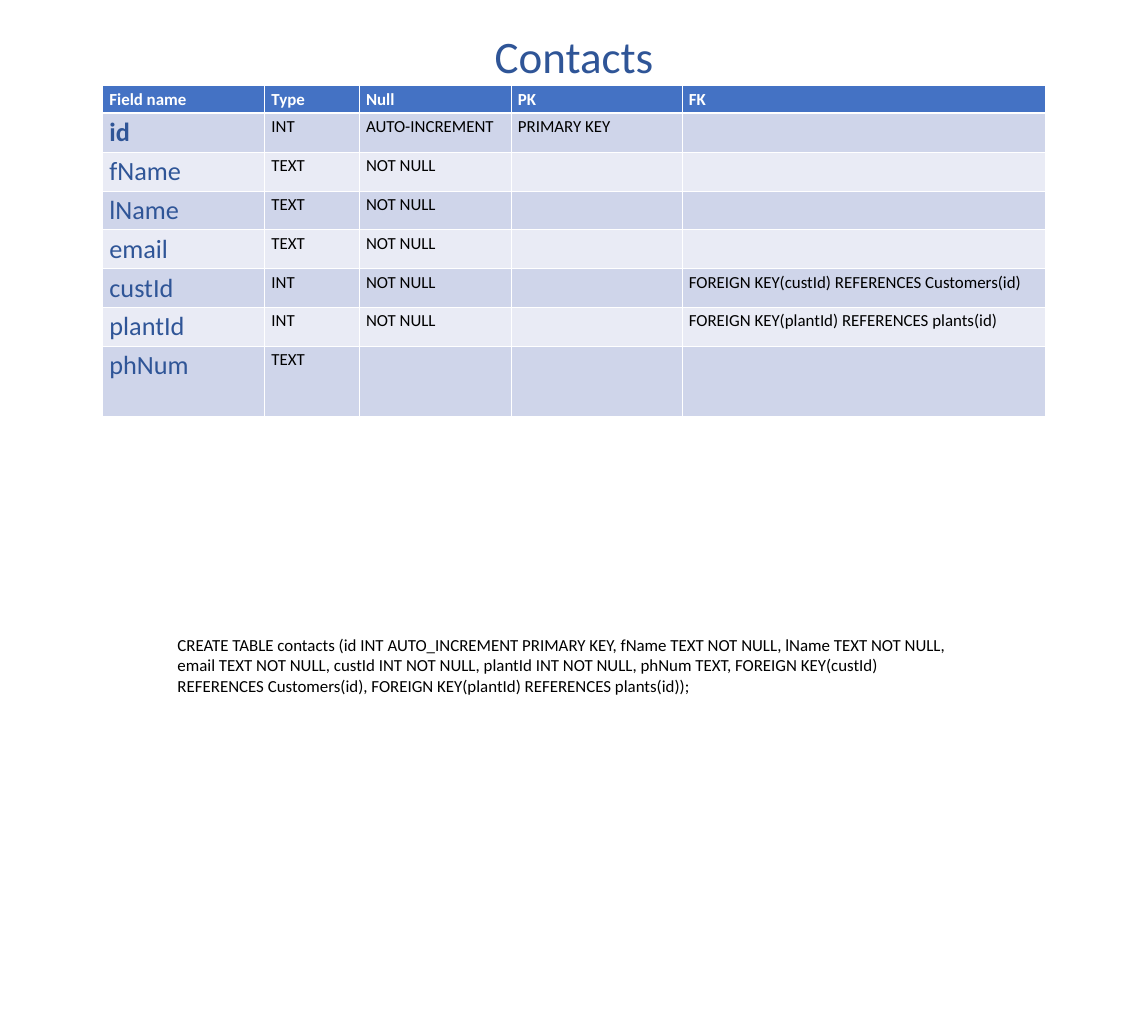
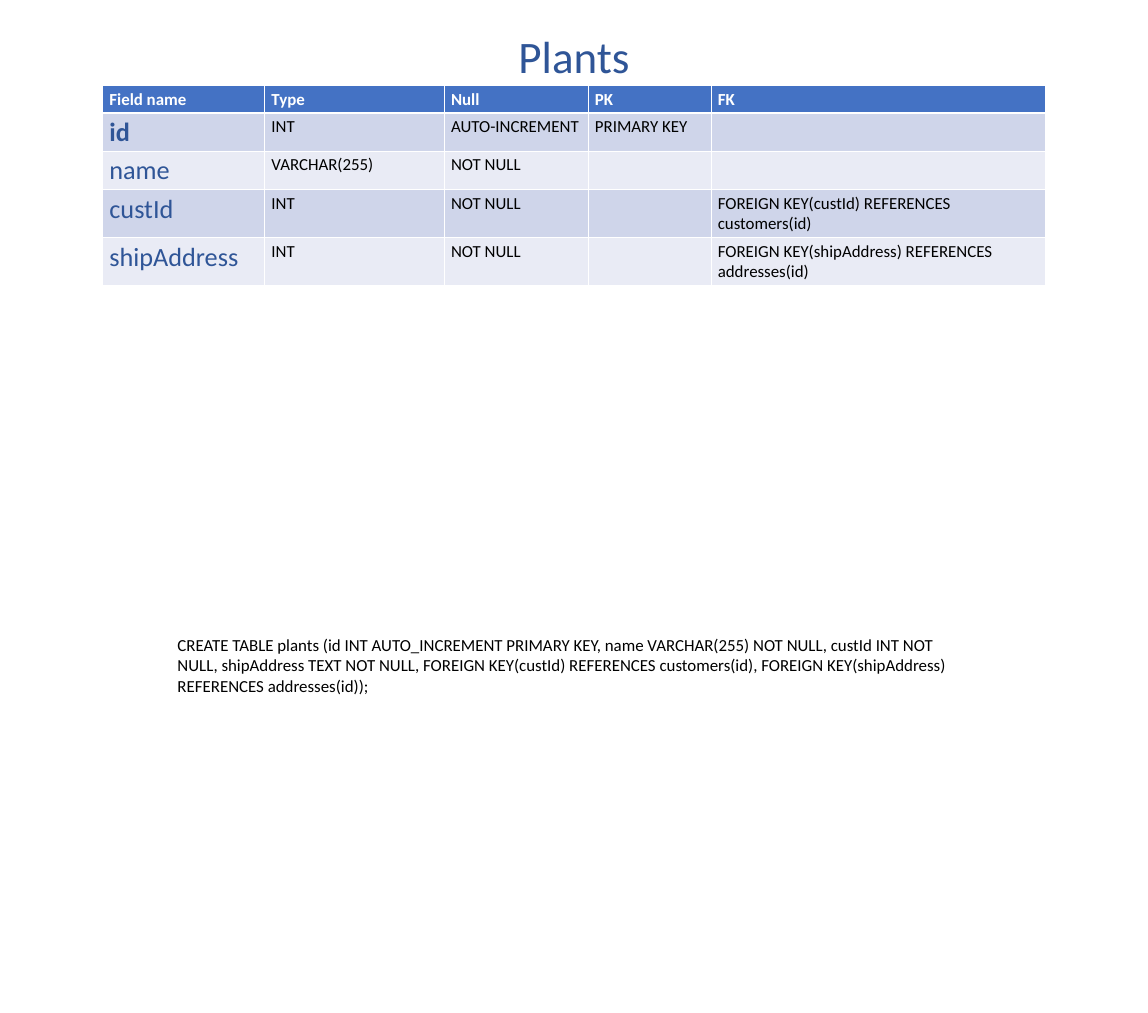
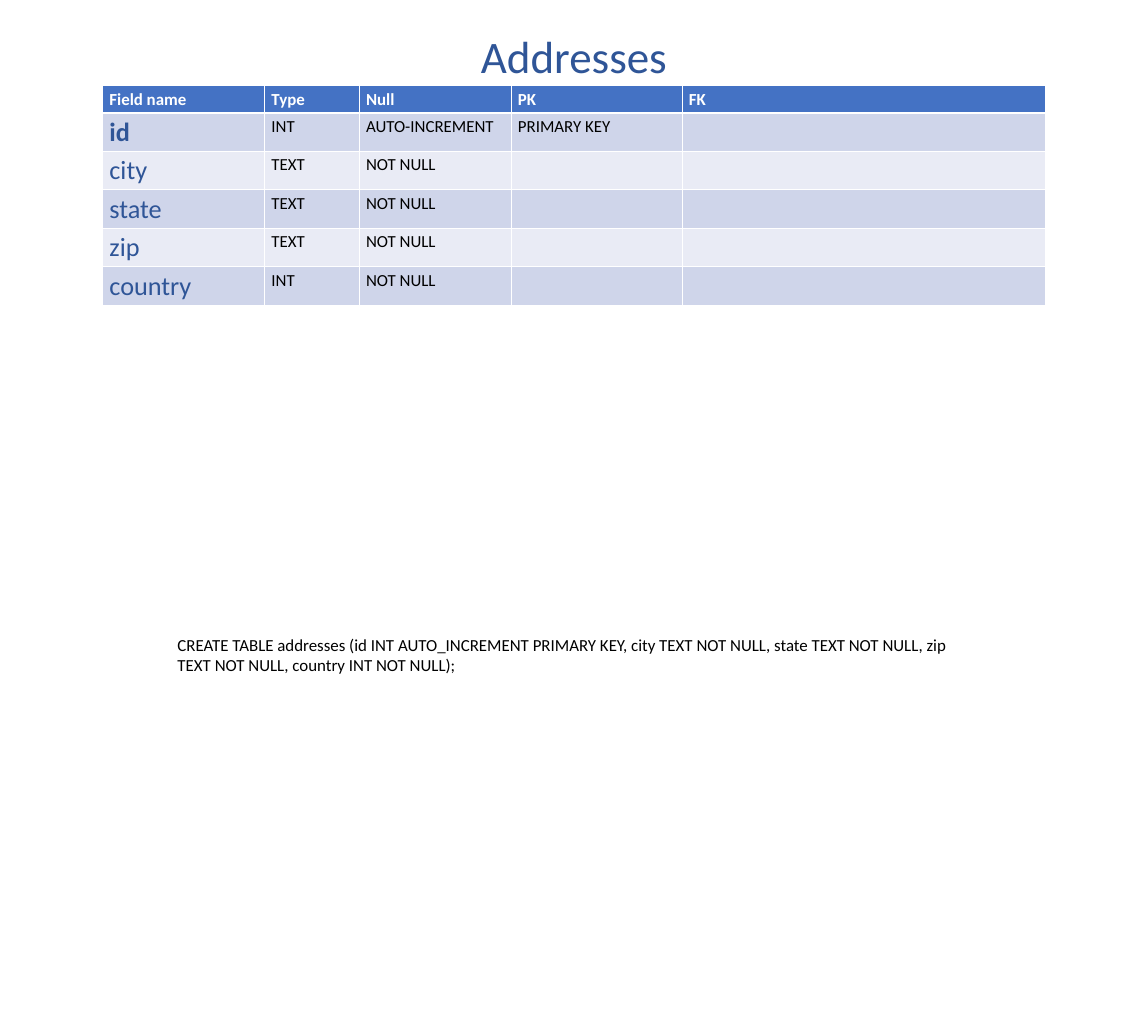
"""Build three slides that describe database tables."""
from dataclasses import dataclass

from lxml import etree
from pptx import Presentation
from pptx.dml.color import RGBColor
from pptx.enum.text import PP_ALIGN
from pptx.oxml.ns import qn
from pptx.util import Inches, Pt

CENTER = PP_ALIGN.CENTER
LEFT = PP_ALIGN.LEFT

FONT = "Calibri"
WHITE = "FFFFFF"
BLACK = "000000"
HEADER_BLUE = "4472C4"
NAME_BLUE = "2F5597"
BANDS = ("CFD5EA", "E9EBF5")

PAGE_WIDTH = 17
PAGE_HEIGHT = 15
HEADER_HEIGHT = 0.4
ROW_HEIGHT = 0.57
HEADINGS = ("Field name", "Type", "Null", "PK", "FK")
NARROW_TYPE = (2.4, 1.4, 2.25, 2.53, 5.38)
WIDE_TYPE = (2.4, 2.66, 2.13, 1.82, 4.95)


@dataclass(frozen=True)
class Field:
    name: str
    kind: str
    null: str = "NOT NULL"
    primary: str = ""
    foreign: str = ""
    height: float = ROW_HEIGHT


@dataclass(frozen=True)
class Schema:
    title: str
    title_width: float
    widths: tuple[float, ...]
    fields: tuple[Field, ...]
    statement: str
    statement_height: float


@dataclass(frozen=True)
class Style:
    size: float
    color: str
    bold: bool = False


TITLE = Style(48, NAME_BLUE)
HEADING = Style(18, WHITE, True)
BODY = Style(18, BLACK)
KEY_NAME = Style(28, NAME_BLUE, True)
FIELD_NAME = Style(28, NAME_BLUE)

ID_FIELD = Field("id", "INT", "AUTO-INCREMENT", "PRIMARY KEY")

SCHEMAS = (
    Schema(
        "Contacts", 2.59, NARROW_TYPE,
        (
            ID_FIELD,
            Field("fName", "TEXT"),
            Field("lName", "TEXT"),
            Field("email", "TEXT"),
            Field("custId", "INT", foreign="FOREIGN KEY(custId) REFERENCES Customers(id)"),
            Field("plantId", "INT", foreign="FOREIGN KEY(plantId) REFERENCES plants(id)"),
            Field("phNum", "TEXT", null="", height=1.04),
        ),
        "CREATE TABLE contacts (id INT AUTO_INCREMENT PRIMARY KEY, fName TEXT NOT NULL, "
        "lName TEXT NOT NULL, email TEXT NOT NULL, custId INT NOT NULL, plantId INT NOT NULL, "
        "phNum TEXT, FOREIGN KEY(custId) REFERENCES Customers(id), "
        "FOREIGN KEY(plantId) REFERENCES plants(id));",
        1.31,
    ),
    Schema(
        "Plants", 2.59, WIDE_TYPE,
        (
            ID_FIELD,
            Field("name", "VARCHAR(255)"),
            Field("custId", "INT", foreign="FOREIGN KEY(custId) REFERENCES customers(id)",
                  height=0.71),
            Field("shipAddress", "INT",
                  foreign="FOREIGN KEY(shipAddress) REFERENCES addresses(id)", height=0.71),
        ),
        "CREATE TABLE plants (id INT AUTO_INCREMENT PRIMARY KEY, name VARCHAR(255) NOT NULL, "
        "custId INT NOT NULL, shipAddress TEXT NOT NULL, "
        "FOREIGN KEY(custId) REFERENCES customers(id), "
        "FOREIGN KEY(shipAddress) REFERENCES addresses(id));",
        1.01,
    ),
    Schema(
        "Addresses", 3.1, NARROW_TYPE,
        (
            ID_FIELD,
            Field("city", "TEXT"),
            Field("state", "TEXT"),
            Field("zip", "TEXT"),
            Field("country", "INT"),
        ),
        "CREATE TABLE addresses (id INT AUTO_INCREMENT PRIMARY KEY, city TEXT NOT NULL, "
        "state TEXT NOT NULL, zip TEXT NOT NULL, country INT NOT NULL);",
        0.71,
    ),
)


def rgb(color: str) -> RGBColor:
    return RGBColor.from_string(color)


def add_span(para, text: str, style: Style) -> None:
    span = para.add_run()
    span.text = text
    span.font.name = FONT
    span.font.size = Pt(style.size)
    span.font.bold = style.bold
    span.font.color.rgb = rgb(style.color)


def add_text(page, left: float, top: float, width: float, height: float,
             text: str, style: Style, align=LEFT) -> None:
    box = page.shapes.add_textbox(Inches(left), Inches(top), Inches(width), Inches(height))
    box.text_frame.word_wrap = True
    para = box.text_frame.paragraphs[0]
    para.alignment = align
    add_span(para, text, style)


def add_borders(cell, top: float, bottom: float) -> None:
    properties = cell._tc.get_or_add_tcPr()
    for side, width in (("L", 1), ("R", 1), ("T", top), ("B", bottom)):
        line = etree.SubElement(properties, qn(f"a:ln{side}"), w=str(Pt(width)))
        fill = etree.SubElement(line, qn("a:solidFill"))
        etree.SubElement(fill, qn("a:srgbClr"), val=WHITE)


def fill_cell(cell, text: str, style: Style, color: str, top: float, bottom: float) -> None:
    add_borders(cell, top, bottom)
    cell.fill.solid()
    cell.fill.fore_color.rgb = rgb(color)
    if text:
        add_span(cell.text_frame.paragraphs[0], text, style)


def add_field_table(page, schema: Schema) -> None:
    heights = [HEADER_HEIGHT] + [field.height for field in schema.fields]
    table = page.shapes.add_table(
        len(heights), len(HEADINGS), Inches(1.52), Inches(1.27),
        Inches(sum(schema.widths)), Inches(sum(heights))).table
    table.horz_banding = False
    for column, width in zip(table.columns, schema.widths):
        column.width = Inches(width)
    for row, height in zip(table.rows, heights):
        row.height = Inches(height)

    for column, heading in enumerate(HEADINGS):
        fill_cell(table.cell(0, column), heading, HEADING, HEADER_BLUE, 1, 3)
    for index, field in enumerate(schema.fields):
        name_style = KEY_NAME if field.primary else FIELD_NAME
        values = (field.name, field.kind, field.null, field.primary, field.foreign)
        for column, value in enumerate(values):
            fill_cell(table.cell(index + 1, column), value,
                      BODY if column else name_style, BANDS[index % 2],
                      1 if index else 3, 1)


def add_schema_page(deck, schema: Schema) -> None:
    page = deck.slides.add_slide(deck.slide_layouts[6])
    add_field_table(page, schema)
    add_text(page, (PAGE_WIDTH - schema.title_width) / 2, 0.37, schema.title_width, 0.91,
             schema.title, TITLE, CENTER)
    add_text(page, 2.53, 9.35, 11.85, schema.statement_height, schema.statement, BODY)


def main() -> None:
    deck = Presentation()
    deck.slide_width = Inches(PAGE_WIDTH)
    deck.slide_height = Inches(PAGE_HEIGHT)
    for schema in SCHEMAS:
        add_schema_page(deck, schema)
    deck.save("out.pptx")


if __name__ == "__main__":
    main()
